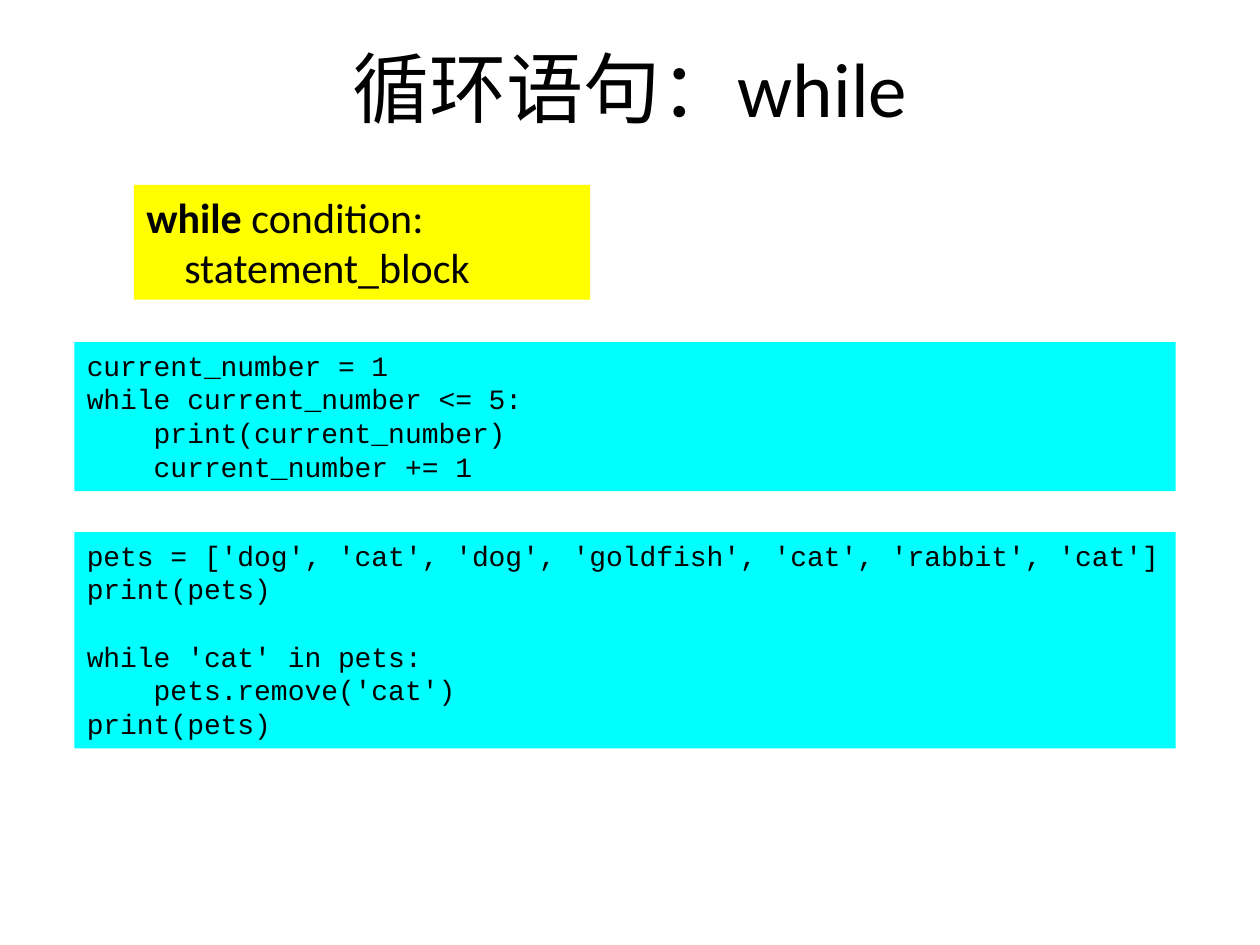
from dataclasses import dataclass

from pptx import Presentation
from pptx.dml.color import RGBColor
from pptx.enum.shapes import MSO_SHAPE
from pptx.enum.text import MSO_ANCHOR, MSO_AUTO_SIZE, PP_ALIGN
from pptx.util import Cm, Pt

BLACK = RGBColor(0x00, 0x00, 0x00)
YELLOW = RGBColor(0xFF, 0xFF, 0x00)
CYAN = RGBColor(0x00, 0xFF, 0xFF)

TITLE_FONT = "Calibri"
CODE_FONT = "Courier New"
CODE_SIZE = 16
CODE_LINE_PITCH = 19.2
EXAMPLE_LEFT, EXAMPLE_WIDTH = 1.5, 22.2


@dataclass(frozen=True)
class CodePanel:
    """A filled code box in centimetres; `**` in a line switches bold."""
    code: str
    left: float
    top: float
    width: float
    height: float
    fill: RGBColor
    font: str = CODE_FONT
    size: float = CODE_SIZE


PANELS = [
    CodePanel("**while** condition:\n    statement_block",
              2.7, 3.73, 9.2, 2.31, YELLOW, TITLE_FONT, 24),
    CodePanel("""current_number = 1
while current_number <= 5:
    print(current_number)
    current_number += 1""",
              EXAMPLE_LEFT, 6.9, EXAMPLE_WIDTH, 3.0, CYAN),
    CodePanel("""pets = ['dog', 'cat', 'dog', 'goldfish', 'cat', 'rabbit', 'cat']
print(pets)

while 'cat' in pets:
    pets.remove('cat')
print(pets)""",
              EXAMPLE_LEFT, 10.73, EXAMPLE_WIDTH, 4.36, CYAN),
]


def write_line(paragraph, text: str, *, font: str, size: float,
               align: PP_ALIGN = PP_ALIGN.LEFT, space_before: float = 0) -> None:
    """Fill a paragraph, making the parts between `**` marks bold."""
    paragraph.alignment = align
    paragraph.space_before = Pt(space_before)
    for index, part in enumerate(text.split("**")):
        if not part:
            continue
        run = paragraph.add_run()
        run.text = part
        run.font.name = font
        run.font.size = Pt(size)
        run.font.bold = index % 2 == 1
        run.font.color.rgb = BLACK


def add_code_panel(slide, panel: CodePanel) -> None:
    box = slide.shapes.add_shape(
        MSO_SHAPE.RECTANGLE, Cm(panel.left), Cm(panel.top),
        Cm(panel.width), Cm(panel.height))
    box.shadow.inherit = False
    box.fill.solid()
    box.fill.fore_color.rgb = panel.fill
    box.line.fill.background()

    frame = box.text_frame
    frame.word_wrap = True
    frame.auto_size = MSO_AUTO_SIZE.SHAPE_TO_FIT_TEXT
    frame.vertical_anchor = MSO_ANCHOR.TOP
    paragraph = frame.paragraphs[0]
    for block_index, block in enumerate(panel.code.split("\n\n")):
        for line_index, line in enumerate(block.split("\n")):
            if block_index or line_index:
                paragraph = frame.add_paragraph()
            starts_new_block = block_index > 0 and line_index == 0
            write_line(paragraph, line, font=panel.font, size=panel.size,
                       space_before=CODE_LINE_PITCH if starts_new_block else 0)


def add_title(slide, text: str) -> None:
    title = slide.shapes.title
    title.left, title.top = Cm(1.27), Cm(0.15)
    title.width, title.height = Cm(22.86), Cm(3.18)
    title.text_frame.vertical_anchor = MSO_ANCHOR.MIDDLE
    write_line(title.text_frame.paragraphs[0], text,
               font=TITLE_FONT, size=44, align=PP_ALIGN.CENTER)


def main() -> None:
    presentation = Presentation()
    presentation.slide_width, presentation.slide_height = Cm(25.4), Cm(19.05)
    title_only = presentation.slide_layouts[5]
    slide = presentation.slides.add_slide(title_only)
    add_title(slide, "循环语句：while")
    for panel in PANELS:
        add_code_panel(slide, panel)
    presentation.save("out.pptx")


if __name__ == "__main__":
    main()
